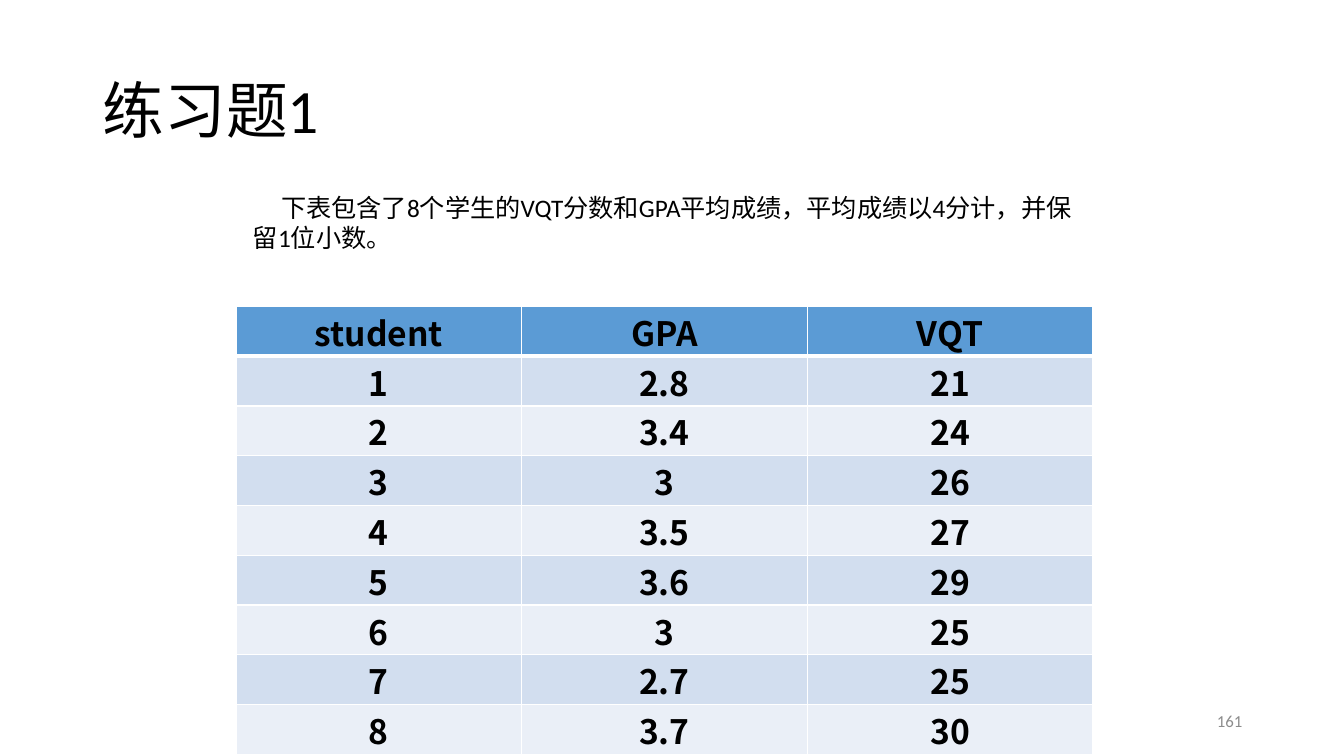
from pptx import Presentation
from pptx.dml.color import RGBColor
from pptx.enum.text import MSO_ANCHOR, PP_ALIGN
from pptx.oxml import parse_xml
from pptx.oxml.ns import nsdecls
from pptx.util import Inches, Pt

HAN = "Noto Sans CJK SC"
HEAD = ["student", "GPA", "VQT"]
GPA = ["2.8", "3.4", "3", "3.5", "3.6", "3", "2.7", "3.7"]
MARKS = ["21", "24", "26", "27", "29", "25", "25", "30"]


def color(code):
    return RGBColor.from_string(code)


def style(para, size, face="Calibri", tint="000000", bold=False, align=PP_ALIGN.LEFT):
    para.alignment = align
    for run in para.runs:
        font = run.font
        font.size = Pt(size)
        font.name = face
        font.bold = bold
        font.color.rgb = color(tint)
        run._r.get_or_add_rPr().append(
            parse_xml(f'<a:ea {nsdecls("a")} typeface="{HAN}"/>'))


def add_title(slide, box, text):
    title = slide.shapes.title
    title.left, title.top, title.width, title.height = map(Inches, box)
    frame = title.text_frame
    frame.text = text
    frame.vertical_anchor = MSO_ANCHOR.MIDDLE
    para = frame.paragraphs[0]
    para.line_spacing = 0.9
    style(para, 44)


def add_text(slide, box, text, anchor=MSO_ANCHOR.TOP):
    frame = slide.shapes.add_textbox(*map(Inches, box)).text_frame
    frame.word_wrap = True
    frame.vertical_anchor = anchor
    frame.text = text
    return frame.paragraphs[0]


def add_intro(slide, box, text):
    para = add_text(slide, box, text)
    para._p.get_or_add_pPr().set("indent", str(Inches(0.28)))
    style(para, 18)


def add_number(slide, box, text):
    para = add_text(slide, box, text, MSO_ANCHOR.MIDDLE)
    style(para, 12, tint="8C8C8C", align=PP_ALIGN.RIGHT)


def add_edge(cell, side, width):
    cell._tc.get_or_add_tcPr().append(parse_xml(
        f'<a:ln{side} {nsdecls("a")} w="{Pt(width)}"><a:solidFill>'
        f'<a:srgbClr val="FFFFFF"/></a:solidFill></a:ln{side}>'))


def fill_cell(cell, text, row):
    cell.text = text
    cell.vertical_anchor = MSO_ANCHOR.MIDDLE
    cell.margin_left = cell.margin_right = cell.margin_top = Inches(0.01)
    cell.margin_bottom = 0
    style(cell.text_frame.paragraphs[0], 24, HAN, bold=True, align=PP_ALIGN.CENTER)
    for side in "LRTB":
        thick = (row, side) in [(0, "B"), (1, "T")]
        add_edge(cell, side, 3 if thick else 1)
    cell.fill.solid()
    band = "D2DEEF" if row % 2 else "EAEFF7"
    cell.fill.fore_color.rgb = color(band if row else "5B9BD5")


def add_scores(slide, box):
    names = [str(n) for n in range(1, len(GPA) + 1)]
    data = [HEAD, *zip(names, GPA, MARKS)]
    table = slide.shapes.add_table(len(data), len(HEAD), *map(Inches, box)).table
    for i, row in enumerate(data):
        for j, text in enumerate(row):
            fill_cell(table.cell(i, j), text, i)


def main():
    deck = Presentation()
    deck.slide_width, deck.slide_height = Inches(13.33), Inches(7.5)
    slide = deck.slides.add_slide(deck.slide_layouts[5])
    add_title(slide, (0.92, 0.4, 11.5, 1.45), "练习题1")
    add_scores(slide, (2.34, 3.04, 8.5, 3.69))
    add_number(slide, (9.42, 6.95, 3, 0.4), "161")
    add_intro(slide, (2.41, 1.86, 8.5, 0.71),
              "下表包含了8个学生的VQT分数和GPA平均成绩，平均成绩以4分计，并保留1位小数。")
    deck.save("out.pptx")


if __name__ == "__main__":
    main()
